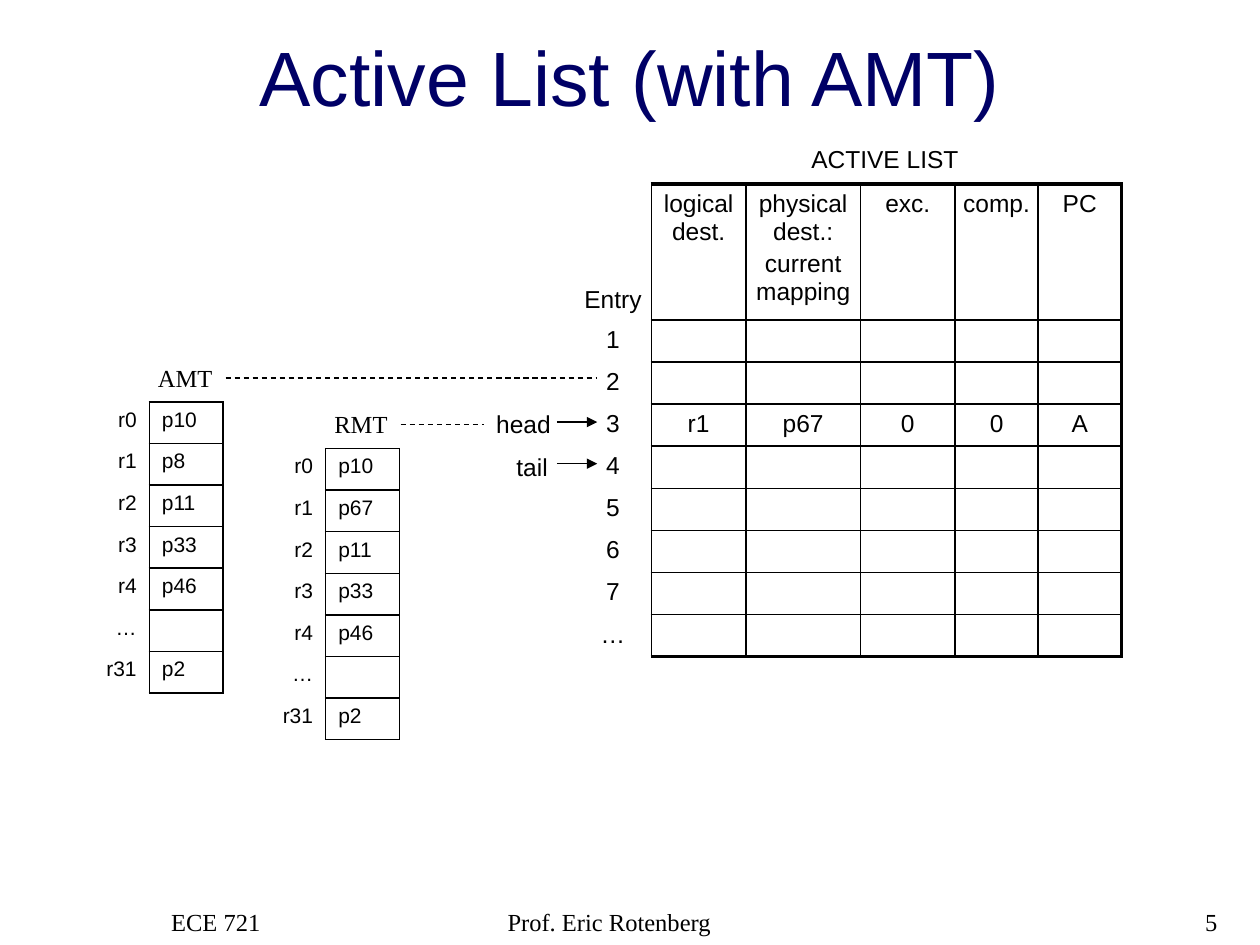
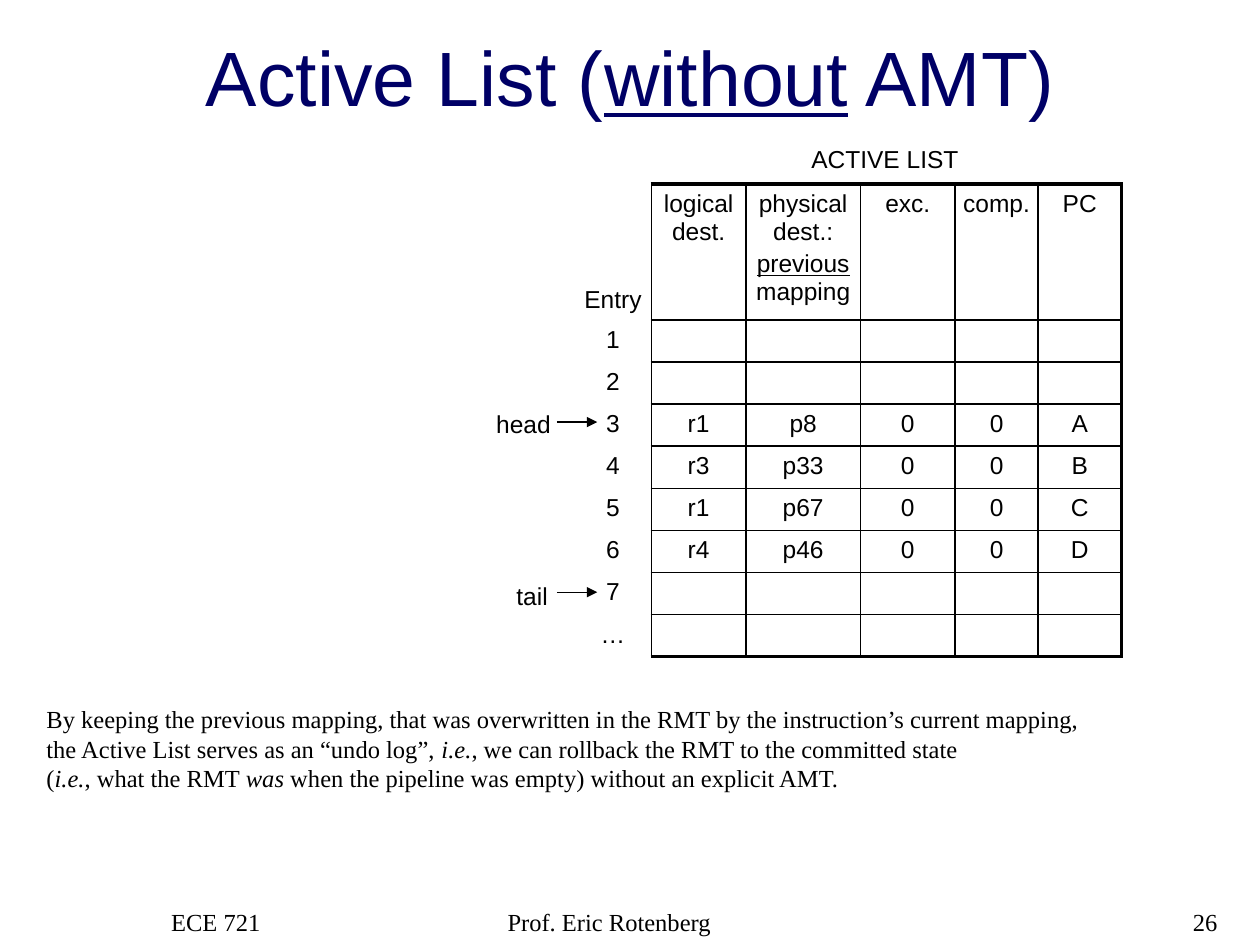
from lxml.etree import SubElement
from pptx import Presentation
from pptx.dml.color import RGBColor
from pptx.enum.dml import MSO_LINE_DASH_STYLE as Dash
from pptx.enum.shapes import MSO_CONNECTOR as Connector
from pptx.enum.text import MSO_ANCHOR as Anchor, MSO_AUTO_SIZE as AutoSize, PP_ALIGN as Align
from pptx.oxml.ns import qn
from pptx.util import Inches, Pt

rgb = RGBColor.from_string
BLACK, NAVY = "000000", "000066"
SANS, SERIF = "Arial", "Times New Roman"
PLAIN_TABLE = "{2D5ABB26-0587-4C30-8999-92F81FD0307C}"
THIN, THICK = 1, 2.25


def write(frame, paragraphs, size=14, font=SANS, align=Align.LEFT, colour=BLACK):
    for index, runs in enumerate(paragraphs):
        paragraph = frame.add_paragraph() if index else frame.paragraphs[0]
        paragraph.alignment = align
        paragraph.space_before = Pt(size * 0.2 if index else 0)
        for text, style in runs:
            for line_index, line in enumerate(text.split("\n")):
                if line_index:
                    paragraph.add_line_break()
                run = paragraph.add_run()
                run.text = line
                run.font.size = Pt(size)
                run.font.name = font
                run.font.color.rgb = rgb(colour)
                if "u" in style:
                    run.font.underline = True
                if "i" in style:
                    run.font.italic = True
        if not runs:
            SubElement(paragraph._p, qn("a:endParaRPr"), sz=str(size * 100))


def set_borders(cell, left=0, right=0, top=0, bottom=0):
    properties = cell._tc.get_or_add_tcPr()
    for side, width in zip("LRTB", (left, right, top, bottom)):
        line = SubElement(properties, qn("a:ln" + side), w=str(Pt(width)))
        if width:
            fill = SubElement(line, qn("a:solidFill"))
            SubElement(fill, qn("a:srgbClr"), val=BLACK)
        else:
            SubElement(line, qn("a:noFill"))
    cell.fill.background()


COLUMN_WIDTHS = [0.61, 0.75, 0.91, 0.75, 0.66, 0.66]
HEADER_HEIGHT, ACTIVE_LIST_HEIGHT = 1.08, 3.75
ENTRIES = ["1", "2", "3", "4", "5", "6", "7", "…"]
REGISTERS = ["r0", "r1", "r2", "r3", "r4", "…", "r31"]

slides = [
    {
        "title": [("Active List (with AMT)", "")],
        "number": "5",
        "mapping": [("current mapping", "")],
        "entries": {"3": ["r1", "p67", "0", "0", "A"]},
        "tail_top": 3.54,
        "map_tables": [
            ("AMT", 0.6, 3.19, 1.15, 2.83, 0.64, ["p10", "p8", "p11", "p33", "p46", "", "p2"]),
            ("RMT", 2, 3.56, 2.55, 3.2, 0.63, ["p10", "p67", "p11", "p33", "p46", "", "p2"]),
        ],
        "note": [],
    },
    {
        "title": [("Active List (", ""), ("without", "u"), (" AMT)", "")],
        "number": "26",
        "mapping": [("previous", "u"), (" mapping", "")],
        "entries": {
            "3": ["r1", "p8", "0", "0", "A"],
            "4": ["r3", "p33", "0", "0", "B"],
            "5": ["r1", "p67", "0", "0", "C"],
            "6": ["r4", "p46", "0", "0", "D"],
        },
        "tail_top": 4.56,
        "map_tables": [],
        "note": [
            ("By keeping the previous mapping, that was overwritten in the RMT by the instruction’s "
             "current mapping,\nthe Active List serves as an “undo log”, ", ""),
            ("i.e.", "i"),
            (", we can rollback the RMT to the committed state \n(", ""),
            ("i.e.", "i"),
            (", what the RMT ", ""),
            ("was", "i"),
            (" when the pipeline was empty) without an explicit AMT.", ""),
        ],
    },
]

presentation = Presentation()
presentation.slide_width = Inches(10)
presentation.slide_height = Inches(7.5)

for content in slides:
    slide = presentation.slides.add_slide(presentation.slide_layouts[5])

    title = slide.shapes.title
    title.left, title.top = Inches(0), Inches(0.18)
    title.width, title.height = Inches(10), Inches(0.84)
    title.text_frame.auto_size = AutoSize.NONE
    title.text_frame.vertical_anchor = Anchor.BOTTOM
    write(title.text_frame, [content["title"]], 44, SANS, Align.CENTER, NAVY)

    for text, left, width, align in [
        ("ECE 721", 1.26, 2.08, Align.LEFT),
        ("Prof. Eric Rotenberg", 3.93, 3.17, Align.LEFT),
        (content["number"], 7.68, 2.08, Align.RIGHT),
    ]:
        footer = slide.shapes.add_textbox(Inches(left), Inches(7.15), Inches(width), Inches(0.35))
        footer.text_frame.word_wrap = True
        write(footer.text_frame, [[(text, "")]], 14, SERIF, align)

    active_list = slide.shapes.add_table(
        len(ENTRIES) + 1, len(COLUMN_WIDTHS), Inches(4.56), Inches(1.46),
        Inches(sum(COLUMN_WIDTHS)), Inches(ACTIVE_LIST_HEIGHT)).table
    active_list.first_row = active_list.horz_banding = False
    active_list._tbl.tblPr.find(qn("a:tableStyleId")).text = PLAIN_TABLE
    for column, width in zip(active_list.columns, COLUMN_WIDTHS):
        column.width = Inches(width)
    for row in active_list.rows:
        row.height = Inches((ACTIVE_LIST_HEIGHT - HEADER_HEIGHT) / len(ENTRIES))
    active_list.rows[0].height = Inches(HEADER_HEIGHT)

    rows = [["Entry", "logical dest.", "physical dest.:", "exc.", "comp.", "PC"]]
    rows += [[entry] + content["entries"].get(entry, [""] * 5) for entry in ENTRIES]
    for row_index, row in enumerate(rows):
        for column_index, text in enumerate(row):
            cell = active_list.cell(row_index, column_index)
            cell.margin_left = cell.margin_right = Inches(0.05)
            cell.margin_top = cell.margin_bottom = Inches(0.05)
            paragraphs = [[(text, "")] if text else []]
            if text == "physical dest.:":
                paragraphs.append(content["mapping"])
            write(cell.text_frame, paragraphs, align=Align.CENTER)
            if column_index == 0:
                set_borders(cell, right=THIN)
            else:
                set_borders(
                    cell,
                    left=THIN,
                    right=THICK if column_index == len(row) - 1 else THIN,
                    top=THICK if row_index == 0 else THIN,
                    bottom=THICK if row_index == len(rows) - 1 else THIN)
    active_list.cell(0, 0).vertical_anchor = Anchor.BOTTOM

    labels = [
        ("ACTIVE LIST", 6.34, 1.09, 1.39, SANS, Align.LEFT),
        ("head", 3.84, 3.2, 0.66, SANS, Align.LEFT),
        ("tail", 4, content["tail_top"], 0.45, SANS, Align.LEFT),
    ]

    for name, left, top, label_left, label_top, label_width, values in content["map_tables"]:
        labels.append((name, label_left, label_top, label_width, SERIF, Align.CENTER))
        map_table = slide.shapes.add_table(
            len(REGISTERS), 2, Inches(left), Inches(top), Inches(1.17), Inches(2.31)).table
        map_table.first_row = map_table.horz_banding = False
        map_table._tbl.tblPr.find(qn("a:tableStyleId")).text = PLAIN_TABLE
        for row_index, (register, value) in enumerate(zip(REGISTERS, values)):
            map_table.rows[row_index].height = Inches(0.33)
            register_cell, value_cell = map_table.rows[row_index].cells
            write(register_cell.text_frame, [[(register, "")]], 12, align=Align.RIGHT)
            write(value_cell.text_frame, [[(value, "")] if value else []], 12)
            set_borders(register_cell, right=THIN)
            set_borders(value_cell, THIN, THIN, THIN, THIN)

    boxes = {}
    for text, left, top, width, font, align in labels:
        box = slide.shapes.add_textbox(Inches(left), Inches(top), Inches(width), Inches(0.34))
        box.text_frame.word_wrap = False
        box.text_frame.auto_size = AutoSize.SHAPE_TO_FIT_TEXT
        write(box.text_frame, [[(text, "")]], 14, font, align)
        boxes[text] = box

    lines = [(4.42, 3.35, 4.74, "arrow"), (4.42, content["tail_top"] + 0.14, 4.74, "arrow")]
    if content["map_tables"]:
        lines += [(1.79, 3, 4.74, "AMT"), (3.18, 3.37, 3.84, "RMT")]
    for start, height, end, role in lines:
        connector = slide.shapes.add_connector(
            Connector.STRAIGHT, Inches(start), Inches(height), Inches(end), Inches(height))
        connector.line.color.rgb = rgb(BLACK)
        connector.line.width = Pt(0.75)
        SubElement(connector._element.spPr, qn("a:effectLst"))
        if role == "arrow":
            SubElement(connector.line._get_or_add_ln(), qn("a:tailEnd"), type="triangle")
        else:
            connector.line.dash_style = Dash.DASH
            connector.begin_connect(boxes[role], 3)
        if role == "RMT":
            connector.end_connect(boxes["head"], 1)

    if content["note"]:
        note = slide.shapes.add_textbox(Inches(0.27), Inches(5.54), Inches(8.42), Inches(0.81))
        note.text_frame.word_wrap = False
        note.text_frame.auto_size = AutoSize.SHAPE_TO_FIT_TEXT
        write(note.text_frame, [content["note"]], 14, SERIF)

presentation.save("out.pptx")
